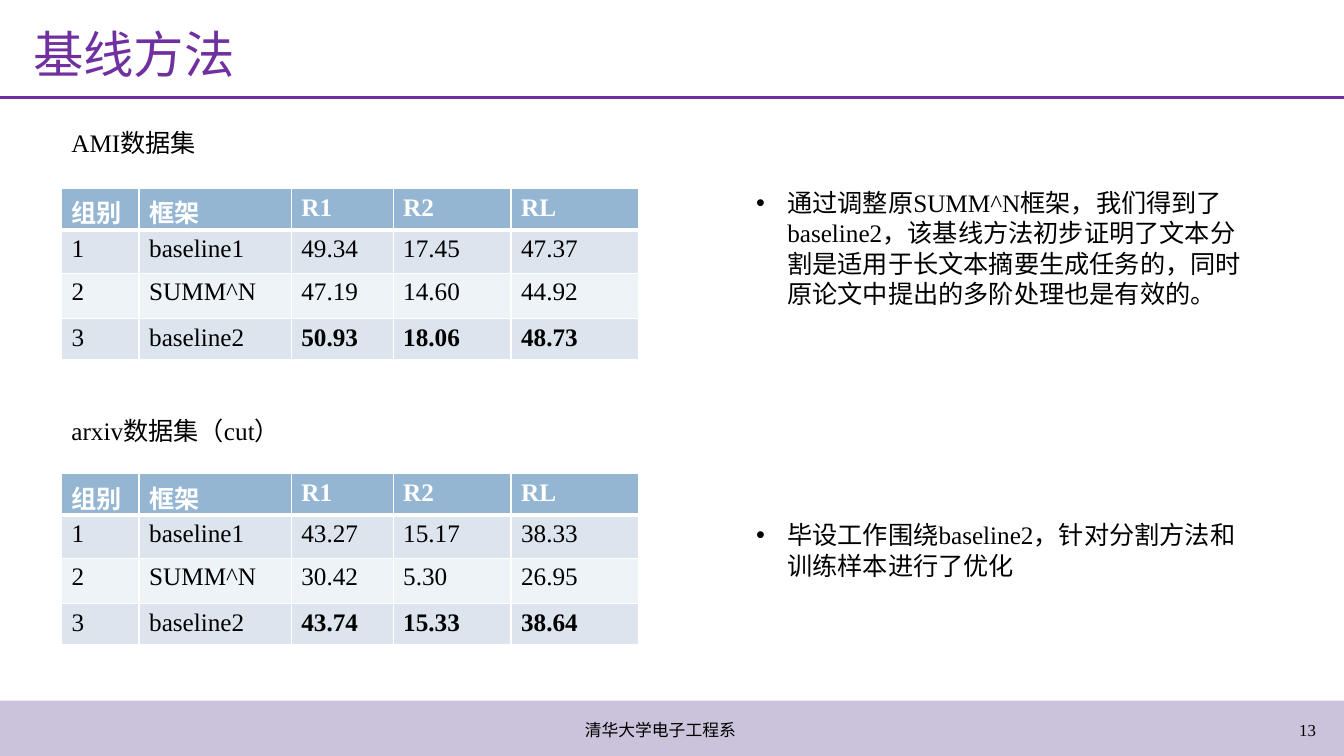
"""Build the baseline methods slide with two result tables."""
import pptx
import pptx.dml.color
import pptx.enum.shapes
import pptx.enum.text
import pptx.oxml
import pptx.oxml.ns
import pptx.util
from pptx.util import Inches

COLORS = {
    "purple": "7030A0", "footer": "735B9F", "black": "000000", "white": "FFFFFF",
    "header": "94B6D2", "odd": "DCE5EE", "even": "EEF3F7",
}
FONT = "Times New Roman"
ALIGN = pptx.enum.text.PP_ALIGN
ANCHOR = pptx.enum.text.MSO_ANCHOR
HEADER = ["组别", "框架", "R1", "R2", "RL"]
COL_WIDTHS = [0.77, 1.51, 1.01, 1.17, 1.27]
ROW_HEIGHTS = [0.41, 0.43, 0.45, 0.41]
AMI_ROWS = [
    ["1", "baseline1", "49.34", "17.45", "47.37"],
    ["2", "SUMM^N", "47.19", "14.60", "44.92"],
    ["3", "baseline2", "50.93", "18.06", "48.73"],
]
ARXIV_ROWS = [
    ["1", "baseline1", "43.27", "15.17", "38.33"],
    ["2", "SUMM^N", "30.42", "5.30", "26.95"],
    ["3", "baseline2", "43.74", "15.33", "38.64"],
]
FINDINGS = [
    "通过调整原SUMM^N框架，我们得到了baseline2，该基线方法初步证明了文本分割是适用于"
    "长文本摘要生成任务的，同时原论文中提出的多阶处理也是有效的。",
    "毕设工作围绕baseline2，针对分割方法和训练样本进行了优化",
]


def rgb(name):
    """Return the named colour."""
    return pptx.dml.color.RGBColor.from_string(COLORS[name])


def xml(tag, body="", attrs=""):
    """Return a new element of the drawing namespace."""
    return pptx.oxml.parse_xml(f'<a:{tag} {pptx.oxml.ns.nsdecls("a")} {attrs}>{body}</a:{tag}>')


def write(p, text, size=18, color="black", bold=False, align=ALIGN.LEFT):
    """Put formatted text in a paragraph."""
    p.alignment = align
    r = p.add_run()
    r.text = text
    r.font.name = FONT
    r.font.size = pptx.util.Pt(size)
    r.font.bold = bold
    r.font.color.rgb = rgb(color)


def add_box(s, x, y, w, h, anchor=ANCHOR.TOP):
    """Add a wrapping text box and return its text frame."""
    tf = s.shapes.add_textbox(Inches(x), Inches(y), Inches(w), Inches(h)).text_frame
    tf.word_wrap = True
    tf.vertical_anchor = anchor
    return tf


def add_label(s, text, x, y, w, h=0.4, anchor=ANCHOR.MIDDLE, **fmt):
    """Add a one-line text box and return its paragraph."""
    p = add_box(s, x, y, w, h, anchor).paragraphs[0]
    write(p, text, **fmt)
    return p


def add_footer_band(s):
    """Add the translucent band at the bottom."""
    sp = s.shapes.add_shape(pptx.enum.shapes.MSO_SHAPE.RECTANGLE,
                            Inches(0), Inches(6.95), Inches(13.33), Inches(0.63))
    sp.shadow.inherit = False
    sp.fill.solid()
    sp.fill.fore_color.rgb = rgb("footer")
    sp.line.fill.background()
    color = sp.fill._xPr.find(".//" + pptx.oxml.ns.qn("a:srgbClr"))
    color.append(xml("alpha", attrs='val="37000"'))


def add_title_rule(s):
    """Add the line below the title."""
    line = s.shapes.add_connector(pptx.enum.shapes.MSO_CONNECTOR.STRAIGHT,
                                  Inches(0), Inches(0.97), Inches(13.33), Inches(0.97))
    line.line.color.rgb = rgb("purple")
    line.line.width = pptx.util.Pt(2)
    line._element.spPr.append(xml("effectLst"))


def set_borders(cell, **widths):
    """Draw white cell borders, with widths in points by side."""
    tcPr = cell._tc.get_or_add_tcPr()
    fill = f'<a:solidFill><a:srgbClr val="{COLORS["white"]}"/></a:solidFill>'
    for side, width in widths.items():
        tcPr.append(xml("ln" + side, fill, f'w="{width * 12700}"'))


def add_results(s, y, rows):
    """Add a table of scores whose best row is bold."""
    cells = [HEADER] + rows
    table = s.shapes.add_table(len(cells), len(HEADER), Inches(0.61), Inches(y),
                               Inches(sum(COL_WIDTHS)), Inches(sum(ROW_HEIGHTS))).table
    for col, width in zip(table.columns, COL_WIDTHS):
        col.width = Inches(width)
    for i, values in enumerate(cells):
        table.rows[i].height = Inches(ROW_HEIGHTS[i])
        fill = "header" if i == 0 else "odd" if i % 2 else "even"
        for j, value in enumerate(values):
            cell = table.cell(i, j)
            set_borders(cell, L=1, R=1, T=3 if i == 1 else 1, B=3 if i == 0 else 1)
            cell.fill.solid()
            cell.fill.fore_color.rgb = rgb(fill)
            write(cell.text_frame.paragraphs[0], value,
                  color="white" if i == 0 else "black",
                  bold=i == 0 or (i == len(rows) and j >= 2))


def add_findings(s):
    """Add the bulleted remarks, one beside each table."""
    tf = add_box(s, 7.4, 1.81, 5.02, 4.34)
    for i, text in enumerate(FINDINGS):
        p = tf.add_paragraph() if i else tf.paragraphs[0]
        write(p, text)
        if i:
            p.space_before = pptx.util.Pt(151)
        pPr = p._p.get_or_add_pPr()
        pPr.set("marL", str(Inches(0.31)))
        pPr.set("indent", str(Inches(-0.31)))
        pPr.append(xml("buFont", attrs='typeface="Arial"'))
        pPr.append(xml("buChar", attrs='char="•"'))


def main():
    """Build and save the slide."""
    prs = pptx.Presentation()
    prs.slide_width, prs.slide_height = Inches(13.33), Inches(7.5)
    s = prs.slides.add_slide(prs.slide_layouts[6])
    add_footer_band(s)
    add_title_rule(s)
    title = add_label(s, "基线方法", 0.23, 0.18, 12.66, 0.78, size=36, color="purple")
    title.line_spacing = 0.9
    add_label(s, "13", 12.42, 7.04, 0.73, size=12, align=ALIGN.RIGHT)
    add_label(s, "清华大学电子工程系", 5.54, 7.04, 2.02, size=12, align=ALIGN.CENTER)
    add_label(s, "AMI数据集", 0.61, 1.21, 2.19, anchor=ANCHOR.TOP)
    add_results(s, 1.87, AMI_ROWS)
    add_label(s, "arxiv数据集（cut）", 0.61, 4.07, 2.46, anchor=ANCHOR.TOP)
    add_results(s, 4.7, ARXIV_ROWS)
    add_findings(s)
    prs.save("out.pptx")


if __name__ == "__main__":
    main()
